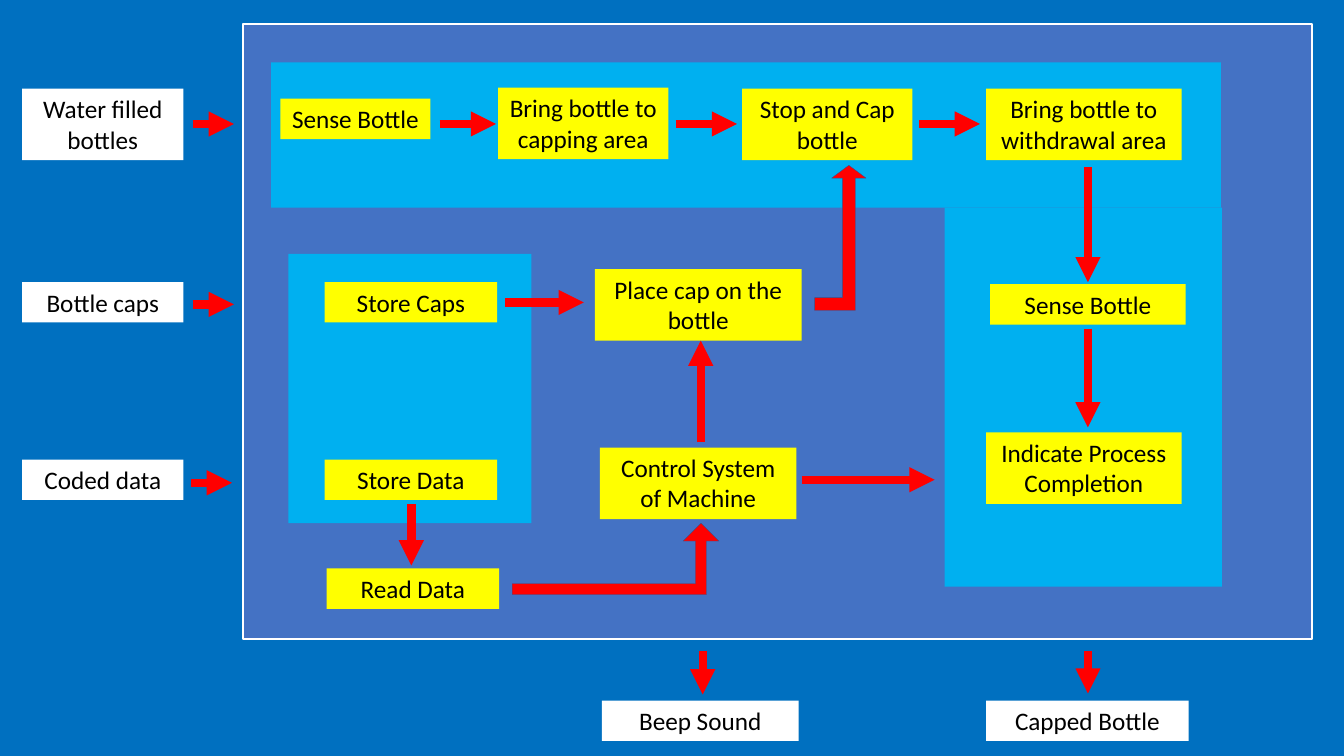
from pptx import Presentation
from pptx.dml.color import RGBColor
from pptx.enum.shapes import MSO_CONNECTOR, MSO_SHAPE
from pptx.enum.text import MSO_ANCHOR, MSO_AUTO_SIZE, PP_ALIGN
from pptx.oxml.ns import qn
from pptx.util import Inches, Pt
from lxml.etree import SubElement

HUES = {"back": "0070C0", "frame": "4472C4", "zone": "00B0F0", "step": "FFFF00",
        "port": "FFFFFF", "flow": "FF0000", "edge": "325491", "text": "000000"}


def tint(name):
    return RGBColor.from_string(HUES[name])


def draw(kind, spot, fill, line=None, width=0):
    shape = page.shapes.add_shape(kind, *map(Inches, spot))
    shape.shadow.inherit = False
    shape.fill.solid()
    shape.fill.fore_color.rgb = tint(fill)
    if line:
        shape.line.color.rgb = tint(line)
        shape.line.width = Pt(width)
    else:
        shape.line.fill.background()
    return shape


deck = Presentation()
deck.slide_width, deck.slide_height = Inches(13.33), Inches(7.5)
page = deck.slides.add_slide(deck.slide_layouts[6])
page.background.fill.solid()
page.background.fill.fore_color.rgb = tint("back")

# Machine frame and its zones
draw(MSO_SHAPE.RECTANGLE, (2.41, 0.24, 10.6, 6.1), "frame", "port", 1.5)
for spot in [(2.86, 2.52, 2.41, 2.67), (9.37, 2.06, 2.75, 3.76),
             (2.69, 0.62, 9.42, 1.44)]:
    draw(MSO_SHAPE.RECTANGLE, spot, "zone")

# Ports outside the frame and steps inside it: left, top, width, lines, words
LOW, TALL = 0.4, 0.71
boxes = {
    "port": [
        (0.22, 0.88, 1.6, TALL, "Water filled bottles"),
        (0.22, 2.8, 1.6, LOW, "Bottle caps"),
        (0.22, 4.56, 1.6, LOW, "Coded data"),
        (5.97, 6.95, 1.95, LOW, "Beep Sound"),
        (9.78, 6.95, 2.01, LOW, "Capped Bottle"),
    ],
    "step": [
        (2.78, 0.98, 1.49, LOW, "Sense Bottle"),
        (4.94, 0.87, 1.69, TALL, "Bring bottle to capping area"),
        (7.36, 0.88, 1.69, TALL, "Stop and Cap bottle"),
        (9.78, 0.88, 1.94, TALL, "Bring bottle to withdrawal area"),
        (3.22, 2.8, 1.71, LOW, "Store Caps"),
        (5.9, 2.67, 2.05, TALL, "Place cap on the bottle"),
        (9.82, 2.82, 1.94, LOW, "Sense Bottle"),
        (3.22, 4.56, 1.71, LOW, "Store Data"),
        (5.95, 4.44, 1.95, TALL, "Control System of Machine"),
        (9.78, 4.29, 1.94, TALL, "Indicate Process Completion"),
        (3.24, 5.64, 1.71, LOW, "Read Data"),
    ],
}
for fill, items in boxes.items():
    for *spot, words in items:
        frame = draw(MSO_SHAPE.RECTANGLE, spot, fill).text_frame
        frame.word_wrap = True
        frame.auto_size = MSO_AUTO_SIZE.SHAPE_TO_FIT_TEXT
        frame.vertical_anchor = MSO_ANCHOR.TOP
        para = frame.paragraphs[0]
        para.alignment = PP_ALIGN.CENTER
        run = para.add_run()
        run.text = words
        run.font.name, run.font.size = "Calibri", Pt(18)
        run.font.color.rgb = tint("text")

# Bent arrows
for spot, ratios in [((8.08, 1.64, 0.51, 1.44), (0.25, 0.335, 0.25)),
                     ((5.08, 5.19, 2.05, 0.71), (0.154, 0.25, 0.25))]:
    bend = draw(MSO_SHAPE.BENT_UP_ARROW, spot, "flow", "edge", 0.25)
    for i, ratio in enumerate(ratios):
        bend.adjustments[i] = ratio

# Straight arrows: across as (y, from x, to x), down or up as (x, from y, to y)
across = [(1.23, 1.91, 2.32), (3.02, 1.91, 2.32), (4.79, 1.89, 2.3),
          (1.23, 4.36, 4.92), (1.23, 6.7, 7.31), (1.23, 9.12, 9.72),
          (3, 5.01, 5.79), (4.76, 7.95, 9.27)]
upright = [(4.08, 5, 5.61), (6.95, 4.39, 3.38), (10.79, 1.66, 2.8),
           (10.79, 3.26, 4.24), (10.79, 6.46, 6.88), (6.97, 6.46, 6.89)]
routes = [(a, y, b, y) for y, a, b in across] + [(x, a, x, b) for x, a, b in upright]
for route in routes:
    arrow = page.shapes.add_connector(MSO_CONNECTOR.STRAIGHT, *map(Inches, route))
    arrow.line.color.rgb = tint("flow")
    arrow.line.width = Pt(6)
    SubElement(arrow.line._get_or_add_ln(), qn("a:tailEnd"), type="triangle")
    SubElement(arrow._element.spPr, qn("a:effectLst"))

deck.save("out.pptx")
